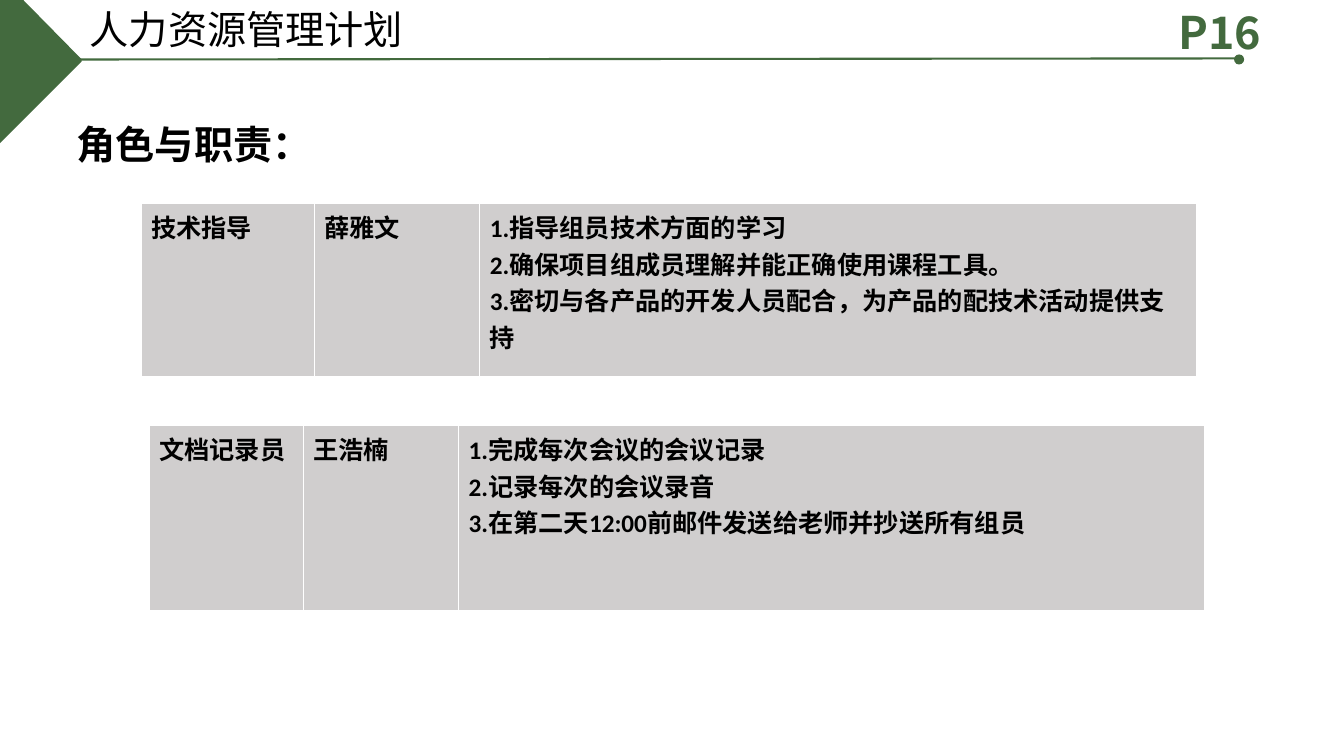
import dataclasses

import lxml.etree
import pptx
import pptx.dml.color
import pptx.enum.shapes
import pptx.enum.text
import pptx.oxml.ns
import pptx.util

qn = pptx.oxml.ns.qn
SLIDE_WIDTH = pptx.util.Inches(13.33)
SLIDE_HEIGHT = pptx.util.Inches(7.5)


@dataclasses.dataclass(frozen=True)
class Theme:
    green: str = "436A3E"
    black: str = "000000"
    white: str = "FFFFFF"
    cell_grey: str = "D0CECE"
    chinese_font: str = "Noto Sans CJK SC"
    latin_font: str = "Calibri"
    page_size: float = 32
    title_size: float = 28
    cell_size: float = 18
    rule_width: float = 1.5


THEME = Theme()


@dataclasses.dataclass(frozen=True)
class Box:
    """A rectangle in percent of the slide's width and height."""
    left: float
    top: float
    width: float
    height: float


@dataclasses.dataclass(frozen=True)
class TextStyle:
    size: float
    font: str
    color: str = THEME.black
    bold: bool = False


@dataclasses.dataclass(frozen=True)
class Role:
    box: Box
    columns: tuple[float, ...]
    cells: tuple[tuple[str, ...], ...]


TITLE_STYLE = TextStyle(THEME.title_size, THEME.chinese_font)
PAGE_STYLE = TextStyle(THEME.page_size, THEME.chinese_font, THEME.green, True)
HEADING_STYLE = TextStyle(THEME.title_size, THEME.latin_font, bold=True)
CELL_STYLE = TextStyle(THEME.cell_size, THEME.latin_font, bold=True)

CORNER = ((0, 0), (1.73, 0), (6.08, 7.87), (6.08, 8.13), (0, 18.93))
BORDERS = {"lnL": 1, "lnR": 1, "lnT": 1, "lnB": 3}

ROLES = (
    Role(Box(10.5, 26.93, 78.54, 23.07), (12.9, 12.3, 53.34), (
        ("技术指导",),
        ("薛雅文",),
        ("1.指导组员技术方面的学习",
         "2.确保项目组成员理解并能正确使用课程工具。",
         "3.密切与各产品的开发人员配合，为产品的配技术活动提供支持"))),
    Role(Box(11.1, 56.27, 78.54, 24.67), (11.48, 11.55, 55.51), (
        ("文档记录员",),
        ("王浩楠",),
        ("1.完成每次会议的会议记录",
         "2.记录每次的会议录音",
         "3.在第二天12:00前邮件发送给老师并抄送所有组员"))),
)


def across(percent: float) -> int:
    return round(SLIDE_WIDTH * percent / 100)


def down(percent: float) -> int:
    return round(SLIDE_HEIGHT * percent / 100)


def place(box: Box) -> tuple[int, int, int, int]:
    return across(box.left), down(box.top), across(box.width), down(box.height)


def rgb(color: str) -> pptx.dml.color.RGBColor:
    return pptx.dml.color.RGBColor.from_string(color)


def set_attributes(target, values: dict) -> None:
    for name, value in values.items():
        setattr(target, name, value)


def write_text(text_frame, lines: tuple[str, ...], style: TextStyle) -> None:
    text_frame.word_wrap = True
    for index, line in enumerate(lines):
        paragraph = text_frame.paragraphs[0] if index == 0 else text_frame.add_paragraph()
        set_attributes(paragraph, {
            "alignment": pptx.enum.text.PP_ALIGN.LEFT,
            "space_before": pptx.util.Pt(0),
            "line_spacing": 1.0,
        })
        run = paragraph.add_run()
        run.text = line
        set_attributes(run.font, {
            "size": pptx.util.Pt(style.size), "name": style.font, "bold": style.bold,
        })
        run.font.color.rgb = rgb(style.color)
        east_asian = lxml.etree.Element(qn("a:ea"), typeface=THEME.chinese_font)
        run.font._element.find(qn("a:latin")).addnext(east_asian)


def fill_text_shape(shape, box: Box, text: str, style: TextStyle) -> None:
    left, top, width, height = place(box)
    set_attributes(shape, {"left": left, "top": top, "width": width, "height": height})
    set_attributes(shape.text_frame, {
        "auto_size": pptx.enum.text.MSO_AUTO_SIZE.NONE,
        "vertical_anchor": pptx.enum.text.MSO_ANCHOR.TOP,
    })
    write_text(shape.text_frame, (text,), style)


def paint_green(shape) -> None:
    shape.shadow.inherit = False
    shape.fill.solid()
    shape.fill.fore_color.rgb = rgb(THEME.green)
    shape.line.fill.background()


def draw_header(slide) -> None:
    points = [(across(x), down(y)) for x, y in CORNER]
    builder = slide.shapes.build_freeform(*points[0])
    builder.add_line_segments(points[1:], close=True)
    paint_green(builder.convert_to_shape())

    rule = slide.shapes.add_connector(
        pptx.enum.shapes.MSO_CONNECTOR.STRAIGHT,
        across(5.7), down(7.87), across(92.05), down(7.73))
    rule.line.color.rgb = rgb(THEME.green)
    rule.line.width = pptx.util.Pt(THEME.rule_width)
    lxml.etree.SubElement(rule._element.spPr, qn("a:effectLst"))

    paint_green(slide.shapes.add_shape(
        pptx.enum.shapes.MSO_SHAPE.OVAL, *place(Box(91.82, 7.2, 0.75, 1.33))))


def add_borders(cell) -> None:
    properties = cell._tc.get_or_add_tcPr()
    for index, (tag, width) in enumerate(BORDERS.items()):
        border = lxml.etree.Element(qn(f"a:{tag}"), w=str(pptx.util.Pt(width)))
        fill = lxml.etree.SubElement(border, qn("a:solidFill"))
        lxml.etree.SubElement(fill, qn("a:srgbClr"), val=THEME.white)
        properties.insert(index, border)


def draw_role(slide, role: Role) -> None:
    table = slide.shapes.add_table(1, len(role.columns), *place(role.box)).table
    set_attributes(table, {"first_row": False, "horz_banding": False})
    for column, width, cell, lines in zip(
            table.columns, role.columns, table.rows[0].cells, role.cells):
        column.width = across(width)
        cell.fill.solid()
        cell.fill.fore_color.rgb = rgb(THEME.cell_grey)
        add_borders(cell)
        write_text(cell.text_frame, lines, CELL_STYLE)


def main() -> None:
    presentation = pptx.Presentation()
    set_attributes(presentation, {"slide_width": SLIDE_WIDTH, "slide_height": SLIDE_HEIGHT})
    slide = presentation.slides.add_slide(presentation.slide_layouts[1])

    draw_header(slide)
    fill_text_shape(slide.shapes.title, Box(5.93, 0, 32.86, 7.6), "人力资源管理计划", TITLE_STYLE)
    page_box = Box(86.95, 0, 8.78, 8.53)
    fill_text_shape(slide.shapes.add_textbox(*place(page_box)), page_box, "P16", PAGE_STYLE)

    body = slide.placeholders[1]
    properties = body.text_frame.paragraphs[0]._p.get_or_add_pPr()
    properties.set("marL", str(pptx.util.Inches(0.09)))
    properties.set("indent", "0")
    lxml.etree.SubElement(properties, qn("a:buNone"))
    fill_text_shape(body, Box(4.28, 15.2, 87.92, 8.13), "角色与职责：", HEADING_STYLE)

    for role in ROLES:
        draw_role(slide, role)
    presentation.save("out.pptx")


if __name__ == "__main__":
    main()
